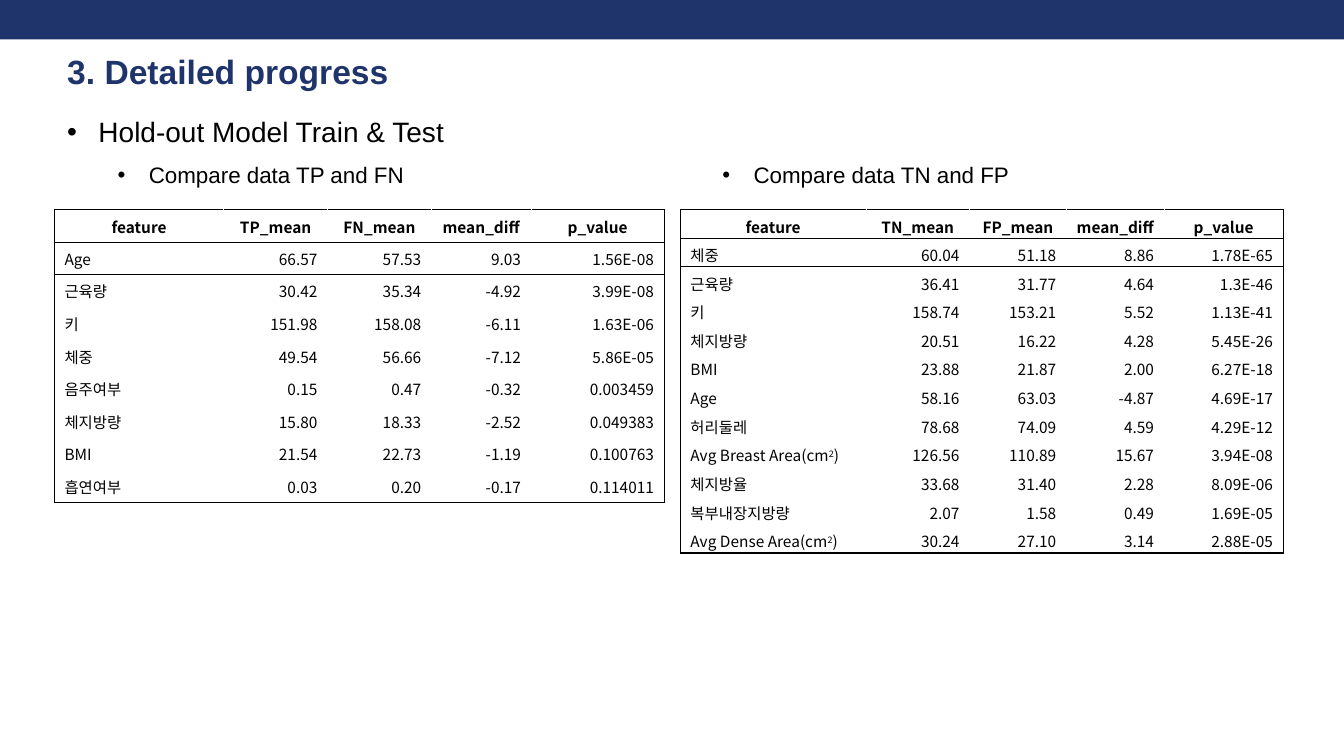
from lxml.etree import SubElement
from pptx import Presentation
from pptx.dml.color import RGBColor
from pptx.enum.shapes import MSO_SHAPE
from pptx.enum.text import MSO_ANCHOR, MSO_AUTO_SIZE, PP_ALIGN
from pptx.oxml.ns import qn
from pptx.util import Inches, Pt

TP_FN_ROWS = """feature|TP_mean|FN_mean|mean_diff|p_value
Age|66.57|57.53|9.03|1.56E-08
근육량|30.42|35.34|-4.92|3.99E-08
키|151.98|158.08|-6.11|1.63E-06
체중|49.54|56.66|-7.12|5.86E-05
음주여부|0.15|0.47|-0.32|0.003459
체지방량|15.80|18.33|-2.52|0.049383
BMI|21.54|22.73|-1.19|0.100763
흡연여부|0.03|0.20|-0.17|0.114011"""

TN_FP_ROWS = """feature|TN_mean|FP_mean|mean_diff|p_value
체중|60.04|51.18|8.86|1.78E-65
근육량|36.41|31.77|4.64|1.3E-46
키|158.74|153.21|5.52|1.13E-41
체지방량|20.51|16.22|4.28|5.45E-26
BMI|23.88|21.87|2.00|6.27E-18
Age|58.16|63.03|-4.87|4.69E-17
허리둘레|78.68|74.09|4.59|4.29E-12
Avg Breast Area(cm²)|126.56|110.89|15.67|3.94E-08
체지방율|33.68|31.40|2.28|8.09E-06
복부내장지방량|2.07|1.58|0.49|1.69E-05
Avg Dense Area(cm²)|30.24|27.10|3.14|2.88E-05"""


def color(value):
    return RGBColor.from_string(value)


def set_values(target, values):
    for name, value in values.items():
        setattr(target, name, value)


class ProgressSlide:
    """Holds the style and the page, measured on a grid of 40 columns by 75 rows."""

    NAVY, BLACK, WHITE = "1F346B", "000000", "FFFFFF"
    TEXT_FONT, TABLE_FONT = "Arial", "Noto Sans CJK KR"
    PLAIN_TABLE = "{2D5ABB26-0587-4C30-8999-92F81FD0307C}"
    LEVELS = [(20, 0.31), (16, 0.81)]
    HANGING = 0.31

    def __init__(self, deck):
        self.column = deck.slide_width / 40
        self.row = deck.slide_height / 75
        self.page = deck.slides.add_slide(deck.slide_layouts[1])

    def place(self, left, top, width, height):
        return (round(left * self.column), round(top * self.row),
                round(width * self.column), round(height * self.row))

    def move(self, shape, *area):
        set_values(shape, dict(zip(("left", "top", "width", "height"), self.place(*area))))

    def style_frame(self, frame, top_inset=0.0):
        set_values(frame, {
            "word_wrap": True, "auto_size": MSO_AUTO_SIZE.SHAPE_TO_FIT_TEXT,
            "vertical_anchor": MSO_ANCHOR.TOP, "margin_left": 0, "margin_right": 0,
            "margin_top": Inches(top_inset), "margin_bottom": 0})

    def add_text(self, para, text, size, font, ink, bold=False):
        """Add text in which each ² becomes a raised 2."""
        for index, part in enumerate(text.replace("²", "\n2\n").split("\n")):
            span = para.add_run()
            span.text = part
            set_values(span.font, {"size": Pt(size), "name": font, "bold": bold})
            span.font.color.rgb = color(ink)
            properties = span._r.get_or_add_rPr()
            SubElement(properties, qn("a:ea")).set("typeface", font)
            if index % 2:
                properties.set("baseline", "30000")

    def bar(self, *area):
        box = self.page.shapes.add_shape(MSO_SHAPE.RECTANGLE, *self.place(*area))
        box.shadow.inherit = False
        box.fill.solid()
        box.fill.fore_color.rgb = color(self.NAVY)
        box.line.fill.background()

    def title(self, text, *area):
        box = self.page.shapes.title
        self.move(box, *area)
        self.style_frame(box.text_frame, 0.01)
        para = box.text_frame.paragraphs[0]
        para.alignment = PP_ALIGN.LEFT
        self.add_text(para, text, 24, self.TEXT_FONT, self.NAVY, True)

    def bullets(self, frame, items):
        """Fill a frame with (level, text) items."""
        self.style_frame(frame)
        for index, (level, text) in enumerate(items):
            para = frame.add_paragraph() if index else frame.paragraphs[0]
            size, margin = self.LEVELS[level]
            properties = para._p.get_or_add_pPr()
            properties.set("marL", str(Inches(margin)))
            properties.set("indent", str(-Inches(self.HANGING)))
            SubElement(properties, qn("a:buFont")).set("typeface", self.TEXT_FONT)
            SubElement(properties, qn("a:buChar")).set("char", "•")
            set_values(para, {"level": level, "line_spacing": 1.5,
                              "space_before": Pt(0), "space_after": Pt(0)})
            self.add_text(para, text, size, self.TEXT_FONT, self.BLACK)

    def body(self, items, *area):
        box = self.page.placeholders[1]
        self.move(box, *area)
        self.bullets(box.text_frame, items)

    def text_box(self, items, *area):
        box = self.page.shapes.add_textbox(*self.place(*area))
        self.bullets(box.text_frame, items)

    def borders(self, cell, sides):
        """Draw the sides, given in the order L, R, T, B."""
        properties = cell._tc.get_or_add_tcPr()
        for side, (ink, width) in sides.items():
            line = SubElement(properties, qn(f"a:ln{side}"), w=str(Pt(width)))
            fill = SubElement(line, qn("a:solidFill"))
            SubElement(fill, qn("a:srgbClr"), val=ink)

    def cell_sides(self, row, column, last_row, last_column):
        outer, inner = (self.BLACK, 1), (self.WHITE, 0.6)
        sides = {}
        if column == 0 or row == 0:
            sides["L"] = inner if column else outer
        if column == last_column or row == 0:
            sides["R"] = outer if column == last_column else inner
        if row <= 1:
            sides["T"] = outer
        if row in (0, last_row):
            sides["B"] = outer
        return sides

    def table(self, source, left, top, widths, height, bottom_inset):
        rows = [line.split("|") for line in source.split("\n")]
        last_row, last_column = len(rows) - 1, len(widths) - 1
        frame = self.page.shapes.add_table(
            len(rows), len(widths), *self.place(left, top, sum(widths), height))
        table = frame.table
        set_values(table, {"first_row": False, "horz_banding": False})
        table._tbl.tblPr.find(qn("a:tableStyleId")).text = self.PLAIN_TABLE
        for column, width in zip(table.columns, widths):
            column.width = round(width * self.column)
        for row, texts in enumerate(rows):
            for column, text in enumerate(texts):
                cell = table.cell(row, column)
                self.borders(cell, self.cell_sides(row, column, last_row, last_column))
                cell.fill.background()
                set_values(cell, {
                    "margin_top": Inches(0.05), "margin_bottom": Inches(bottom_inset),
                    "vertical_anchor": MSO_ANCHOR.BOTTOM if row else MSO_ANCHOR.TOP})
                para = cell.text_frame.paragraphs[0]
                if row == 0:
                    set_values(para, {"alignment": PP_ALIGN.CENTER, "line_spacing": 1.03})
                else:
                    para.alignment = PP_ALIGN.RIGHT if column else PP_ALIGN.LEFT
                self.add_text(para, text, 11, self.TABLE_FONT, self.BLACK, row == 0)


def main():
    deck = Presentation()
    deck.slide_width, deck.slide_height = Inches(13.33), Inches(7.5)
    slide = ProgressSlide(deck)
    slide.bar(0, 0, 40, 3.9)
    slide.title("3. Detailed progress", 2, 4.9, 37.25, 4.2)
    slide.body([(0, "Hold-out Model Train & Test"), (1, "Compare data TP and FN")],
               2, 9.7, 18, 8.9)
    slide.table(TP_FN_ROWS, 1.62, 20.8, [5.04, 3.09, 3.09, 2.97, 3.96], 29.1, 0.05)
    slide.text_box([(1, "Compare data TN and FP")], 20, 14.7, 18, 3.9)
    slide.table(TN_FP_ROWS, 20.25, 20.8, [5.52, 3.09, 2.88, 2.91, 3.54], 34.1, 0.01)
    deck.save("out.pptx")


if __name__ == "__main__":
    main()
